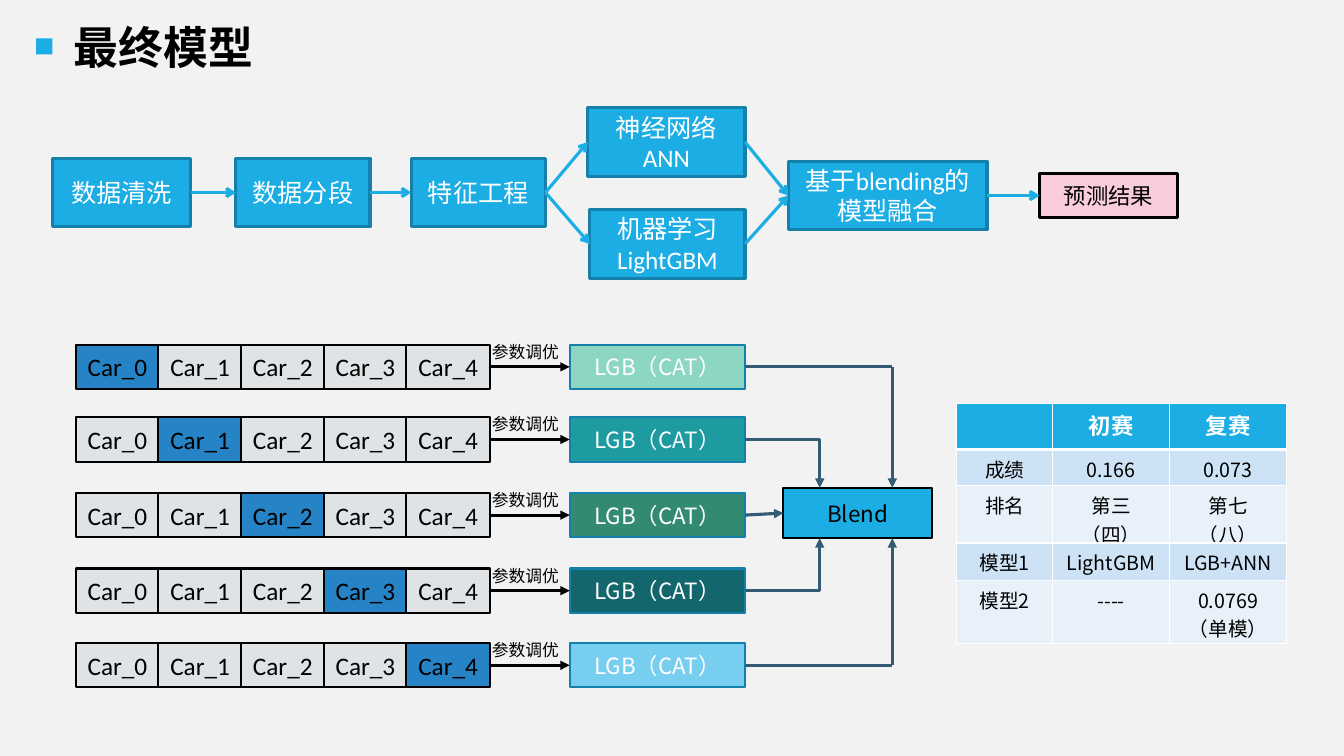
from dataclasses import dataclass
from typing import NamedTuple

from lxml import etree
from pptx import Presentation
from pptx import util as u
from pptx.dml.color import RGBColor
from pptx.enum import shapes, text
from pptx.oxml import ns


@dataclass(frozen=True)
class Theme:
    page: str = "F2F2F2"
    main: str = "1CADE4"
    edge: str = "1580A9"
    wire: str = "335B74"
    pick: str = "2683C6"
    cell: str = "DFE3E5"
    pink: str = "F8CCDB"
    bands: tuple = ("CDE3F5", "E8F1FA")
    dark: str = "000000"
    light: str = "FFFFFF"
    latin: str = "Calibri"
    cjk: str = "Noto Sans CJK SC"
    title: int = 32
    large: int = 18
    body: int = 16
    table: int = 14
    label: int = 12


T = Theme()


class Style(NamedTuple):
    fill: str
    edge: str
    width: float
    size: int
    color: str
    font: str


class Box(NamedTuple):
    left: float
    top: float
    width: float
    height: float
    words: str
    style: Style


class Fold(NamedTuple):
    top: float
    color: str
    turn: float


FLOW = Style(T.main, T.edge, 2.25, T.large, T.light, T.latin)
RESULT = Style(T.pink, T.dark, 2.25, T.body, T.dark, T.cjk)
BLEND = Style(T.main, T.dark, 1.5, T.body, T.dark, T.cjk)
CAR = Style(T.cell, T.dark, 1.5, T.large, T.dark, T.latin)
MODEL = Style(T.main, T.edge, 1.5, T.body, T.light, T.cjk)

STEPS = {
    "clean": Box(0.52, 1.57, 1.37, 0.68, "数据清洗", FLOW),
    "split": Box(2.34, 1.57, 1.33, 0.68, "数据分段", FLOW),
    "feature": Box(4.08, 1.57, 1.33, 0.68, "特征工程", FLOW),
    "net": Box(5.83, 1.07, 1.56, 0.68, "神经网络\nANN", FLOW),
    "tree": Box(5.85, 2.08, 1.54, 0.68, "机器学习LightGBM", FLOW),
    "merge": Box(7.82, 1.6, 1.97, 0.68, "基于blending的\n模型融合", FLOW),
    "result": Box(10.31, 1.72, 1.37, 0.44, "预测结果", RESULT),
}
LINKS = [("clean", "split"), ("split", "feature"), ("feature", "net"),
         ("feature", "tree"), ("net", "merge"), ("tree", "merge"),
         ("merge", "result")]

FOLDS = [Fold(3.42, "8DD6C1", 8.85), Fold(4.14, "1D9BA1", 8.13),
         Fold(4.89, "328B71", 0), Fold(5.64, "13676C", 8.13),
         Fold(6.38, "77CEEF", 8.85)]
HIGH = 0.44

SCORES = [["", "初赛", "复赛"],
          ["成绩", "0.166", "0.073"],
          ["排名", "第三（四）", "第七（八）"],
          ["模型1", "LightGBM", "LGB+ANN"],
          ["模型2", "----", "0.0769\n（单模）"]]
COLS = [0.95, 1.16, 1.16]
ROWS = [0.46, 0.36, 0.37, 0.37, 0.63]


def rgb(code: str) -> RGBColor:
    return RGBColor.from_string(code)


def paint(item, code: str) -> None:
    item.fill.solid()
    item.fill.fore_color.rgb = rgb(code)


def write(frame, words: str, size: int, color: str, font: str,
          align=text.PP_ALIGN.CENTER, bold: bool = False) -> None:
    look = {"size": u.Pt(size), "name": font, "bold": bold}
    frame.text = words
    for para in frame.paragraphs:
        para.alignment = align
        for run in para.runs:
            for key, val in look.items():
                setattr(run.font, key, val)
            run.font.color.rgb = rgb(color)
            east = etree.SubElement(run._r.get_or_add_rPr(), ns.qn("a:ea"))
            east.set("typeface", T.cjk)


def block(slide, box: Box):
    style = box.style
    shape = slide.shapes.add_shape(shapes.MSO_SHAPE.RECTANGLE,
                                   *map(u.Inches, box[:4]))
    shape.shadow.inherit = False
    paint(shape, style.fill)
    shape.line.color.rgb = rgb(style.edge)
    shape.line.width = u.Pt(style.width)
    shape.text_frame.vertical_anchor = text.MSO_ANCHOR.MIDDLE
    write(shape.text_frame, box.words, style.size, style.color, style.font)
    return shape


def wire(slide, color: str, head: str = "", start=None, end=None,
         ends: tuple = (0, 0, 0, 0)):
    line = slide.shapes.add_connector(shapes.MSO_CONNECTOR.STRAIGHT,
                                      *map(u.Inches, ends))
    if start is not None:
        line.begin_connect(start, 3)
    if end is not None:
        line.end_connect(end, 1)
    line.line.color.rgb = rgb(color)
    line.line.width = u.Pt(2.25)
    if head:
        tip = etree.SubElement(line.line._get_or_add_ln(), ns.qn("a:tailEnd"))
        tip.set("type", head)
    etree.SubElement(line._element.spPr, ns.qn("a:effectLst"))
    return line


def heading(slide) -> None:
    mark = slide.shapes.add_shape(shapes.MSO_SHAPE.RECTANGLE,
                                  *map(u.Inches, (0.36, 0.38, 0.16, 0.16)))
    mark.shadow.inherit = False
    paint(mark, T.main)
    mark.line.fill.background()
    title = slide.shapes.title
    place = dict(zip(("left", "top", "width", "height"),
                     map(u.Inches, (0.63, 0.14, 2, 0.64))))
    for key, val in place.items():
        setattr(title, key, val)
    title.text_frame.word_wrap = False
    title.text_frame.vertical_anchor = text.MSO_ANCHOR.MIDDLE
    write(title.text_frame, "最终模型", T.title, T.dark, T.cjk,
          text.PP_ALIGN.LEFT, True)


def flow(slide) -> None:
    made = {key: block(slide, box) for key, box in STEPS.items()}
    for start, end in LINKS:
        wire(slide, T.main, "arrow", made[start], made[end])


def folds(slide) -> None:
    goal = Box(7.77, 4.84, 1.47, 0.5, "Blend", BLEND)
    blend = block(slide, goal)
    for row, fold in enumerate(FOLDS):
        for col in range(len(FOLDS)):
            style = CAR._replace(fill=T.pick) if col == row else CAR
            car = block(slide, Box(0.75 + 0.82 * col, fold.top, 0.83, HIGH,
                                   f"Car_{col}", style))
        model = block(slide, Box(5.65, fold.top, 1.74, HIGH, "LGB（CAT）",
                                 MODEL._replace(fill=fold.color)))
        wire(slide, T.dark, "triangle", car, model)
        note = slide.shapes.add_textbox(
            *map(u.Inches, (4.78, fold.top - 0.08, 1.4, 0.3)))
        note.text_frame.word_wrap = True
        write(note.text_frame, "参数调优", T.label, T.dark, T.cjk,
              text.PP_ALIGN.LEFT)
        if not fold.turn:
            wire(slide, T.wire, "triangle", model, blend)
            continue
        mid = fold.top + HIGH / 2
        stop = goal.top if mid < goal.top else goal.top + goal.height
        wire(slide, T.wire, start=model, ends=(7.39, mid, fold.turn, mid))
        wire(slide, T.wire, "triangle", ends=(fold.turn, mid, fold.turn, stop))


def border(cell, row: int) -> None:
    prop = cell._tc.get_or_add_tcPr()
    for spot, side in enumerate("LRTB"):
        thick = (row, side) in ((0, "B"), (1, "T"))
        line = etree.Element(ns.qn(f"a:ln{side}"), w=str(u.Pt(3 if thick else 1)))
        fill = etree.SubElement(line, ns.qn("a:solidFill"))
        etree.SubElement(fill, ns.qn("a:srgbClr"), val=T.light)
        prop.insert(spot, line)


def scores(slide) -> None:
    area = map(u.Inches, (9.49, 4, sum(COLS), sum(ROWS)))
    grid = slide.shapes.add_table(len(ROWS), len(COLS), *area).table
    for col, width in zip(grid.columns, COLS):
        col.width = u.Inches(width)
    for row, height in enumerate(ROWS):
        grid.rows[row].height = u.Inches(height)
        top = row == 0
        for col, words in enumerate(SCORES[row]):
            cell = grid.cell(row, col)
            paint(cell, T.main if top else T.bands[(row - 1) % 2])
            border(cell, row)
            write(cell.text_frame, words, T.body if top else T.table,
                  T.light if top else T.dark, T.cjk, bold=top)


def main() -> None:
    deck = Presentation()
    deck.slide_width, deck.slide_height = u.Inches(13.33), u.Inches(7.5)
    slide = deck.slides.add_slide(deck.slide_layouts[5])
    paint(slide.background, T.page)
    for draw in (heading, flow, folds, scores):
        draw(slide)
    deck.save("out.pptx")


if __name__ == "__main__":
    main()
